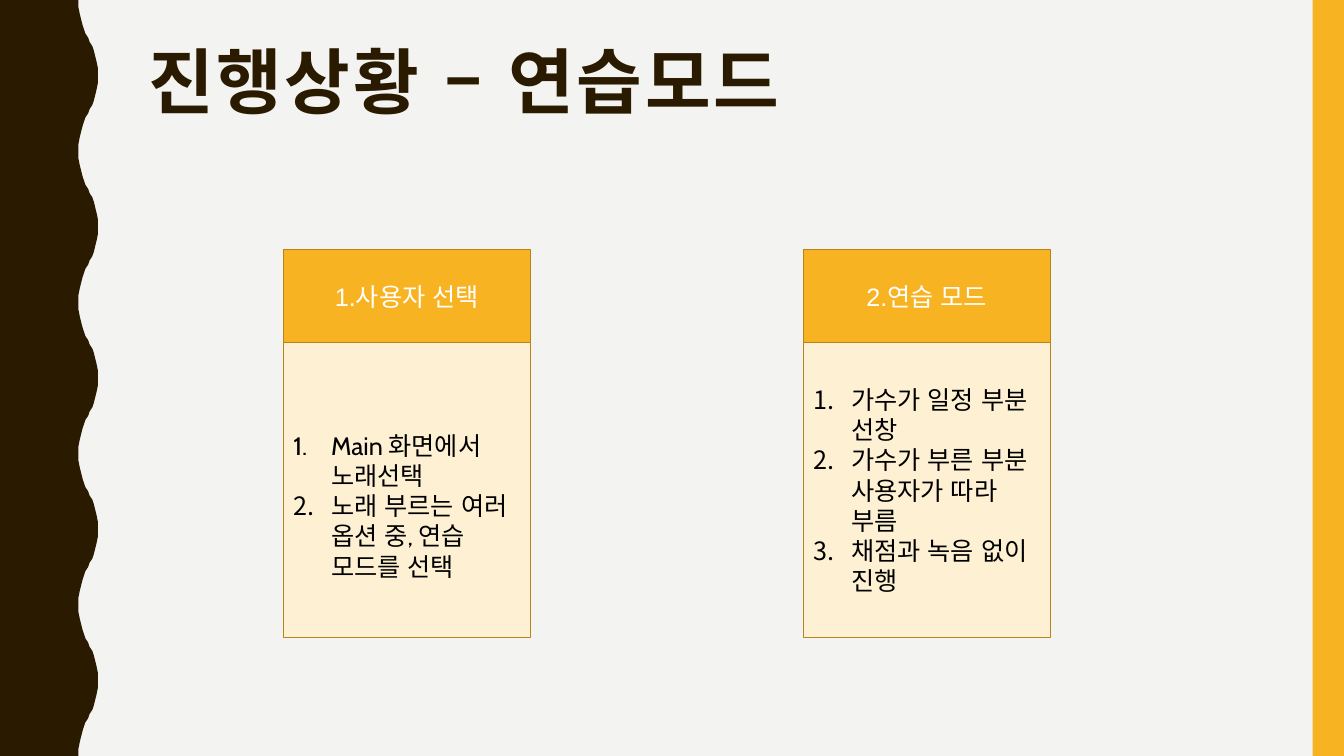
from lxml import etree
from pptx import Presentation
from pptx import util as u
from pptx.dml.color import RGBColor
from pptx.enum import lang, shapes, text
from pptx.oxml.ns import qn

COLORS = {
    "background": "F3F3F2",
    "brown": "2A1A00",
    "amber": "F8B323",
    "cream": "FEF0D3",
    "border": "B7841A",
    "white": "FFFFFF",
    "black": "000000",
}
SLIDE_WIDTH, SLIDE_HEIGHT = 960, 540
WAVE_PERIOD = 108
# (y, x) along the first half of one wave; the second half mirrors it.
HALF_WAVE = [
    (0, 56.2), (5, 56.4), (10, 56.9), (14.4, 57.6), (18, 58.6),
    (21, 59.8), (24, 61.2), (27, 62.7), (30, 64.2), (33, 65.6),
    (36, 66.9), (39.6, 68.3), (43.9, 69.3), (49, 69.8), (54, 70),
]
CARD_TOP, CARD_WIDTH = 178.2, 176.4
HEADER_HEIGHT, BODY_HEIGHT = 66.4, 210.8
LIST_INDENT = 27
# Left edge, extra space above the list, heading, steps
CARDS = [
    (202.4, 22, "1.사용자 선택",
     ["Main 화면에서 노래선택", "노래 부르는 여러 옵션 중, 연습 모드를 선택"]),
    (573.8, 0, "2.연습 모드",
     ["가수가 일정 부분 선창", "가수가 부른 부분 사용자가 따라 부름",
      "채점과 녹음 없이 진행"]),
]


def color(name):
    return RGBColor.from_string(COLORS[name])


class SlideBuilder:
    def __init__(self, presentation):
        self.slide = presentation.slides.add_slide(presentation.slide_layouts[5])
        fill = self.slide.background.fill
        fill.solid()
        fill.fore_color.rgb = color("background")

    def paint(self, shape, fill, line=None):
        shape.shadow.inherit = False
        shape.fill.solid()
        shape.fill.fore_color.rgb = color(fill)
        if line:
            shape.line.color.rgb = color(line)
            shape.line.width = u.Pt(1)
        else:
            shape.line.fill.background()

    def format_runs(self, paragraph, font, size, name, bold=False):
        for run in paragraph.runs:
            run.font.name = font
            run.font.size = u.Pt(size)
            run.font.bold = bold
            run.font.color.rgb = color(name)
            run.font.language_id = lang.MSO_LANGUAGE_ID.KOREAN

    def rectangle(self, parent, left, top, width, height, fill, line=None):
        shape = parent.shapes.add_shape(
            shapes.MSO_SHAPE.RECTANGLE,
            u.Pt(left), u.Pt(top), u.Pt(width), u.Pt(height))
        self.paint(shape, fill, line)
        return shape

    def wave(self):
        mirrored = [(WAVE_PERIOD - y, x) for y, x in HALF_WAVE[-2::-1]]
        period = HALF_WAVE + mirrored
        edge = [(x, start + y)
                for start in range(0, SLIDE_HEIGHT, WAVE_PERIOD)
                for y, x in period]
        builder = self.slide.shapes.build_freeform(0, 0, scale=u.Pt(1))
        builder.add_line_segments(edge + [(0, SLIDE_HEIGHT)], close=True)
        self.paint(builder.convert_to_shape(), "brown")

    def title(self, wording):
        title = self.slide.shapes.title
        title.left, title.top = u.Pt(98.6), u.Pt(30.2)
        title.width, title.height = u.Pt(801.4), u.Pt(117.4)
        frame = title.text_frame
        frame.text = wording
        frame.word_wrap = True
        frame.auto_size = text.MSO_AUTO_SIZE.NONE
        frame.vertical_anchor = text.MSO_ANCHOR.TOP
        paragraph = frame.paragraphs[0]
        paragraph.alignment = text.PP_ALIGN.LEFT
        paragraph.line_spacing = 0.9
        self.format_runs(paragraph, "Roboto Condensed", 51, "brown", bold=True)
        paragraph.runs[0].font._element.set("spc", "200")

    def number(self, paragraph):
        """Give the paragraph a hanging automatic number."""
        properties = paragraph._p.get_or_add_pPr()
        properties.set("marL", str(u.Pt(LIST_INDENT)))
        properties.set("indent", str(-u.Pt(LIST_INDENT)))
        etree.SubElement(properties, qn("a:buFont"), typeface="+mj-lt")
        etree.SubElement(properties, qn("a:buAutoNum"), type="arabicPeriod")

    def card(self, left, extra_top, heading, steps):
        group = self.slide.shapes.add_group_shape()
        header = self.rectangle(group, left, CARD_TOP, CARD_WIDTH,
                                HEADER_HEIGHT, "amber", "border")
        body = self.rectangle(group, left, CARD_TOP + HEADER_HEIGHT, CARD_WIDTH,
                              BODY_HEIGHT, "cream", "border")
        for shape in (header, body):
            shape.text_frame.word_wrap = True
            shape.text_frame.vertical_anchor = text.MSO_ANCHOR.MIDDLE

        header.text_frame.text = heading
        paragraph = header.text_frame.paragraphs[0]
        paragraph.alignment = text.PP_ALIGN.CENTER
        self.format_runs(paragraph, "Arial", 18, "white")

        body.text_frame.margin_top = u.Pt(3.6 + extra_top)
        body.text_frame.text = "\n".join(steps)
        for paragraph in body.text_frame.paragraphs:
            paragraph.alignment = text.PP_ALIGN.LEFT
            self.number(paragraph)
            self.format_runs(paragraph, "Cabin", 18, "black")


def main():
    presentation = Presentation()
    presentation.slide_width = u.Pt(SLIDE_WIDTH)
    presentation.slide_height = u.Pt(SLIDE_HEIGHT)
    builder = SlideBuilder(presentation)
    builder.wave()
    builder.rectangle(builder.slide, 937.6, 0, 22.4, SLIDE_HEIGHT, "amber")
    builder.title("진행상황 – 연습모드")
    for card in CARDS:
        builder.card(*card)
    presentation.save("out.pptx")


if __name__ == "__main__":
    main()
